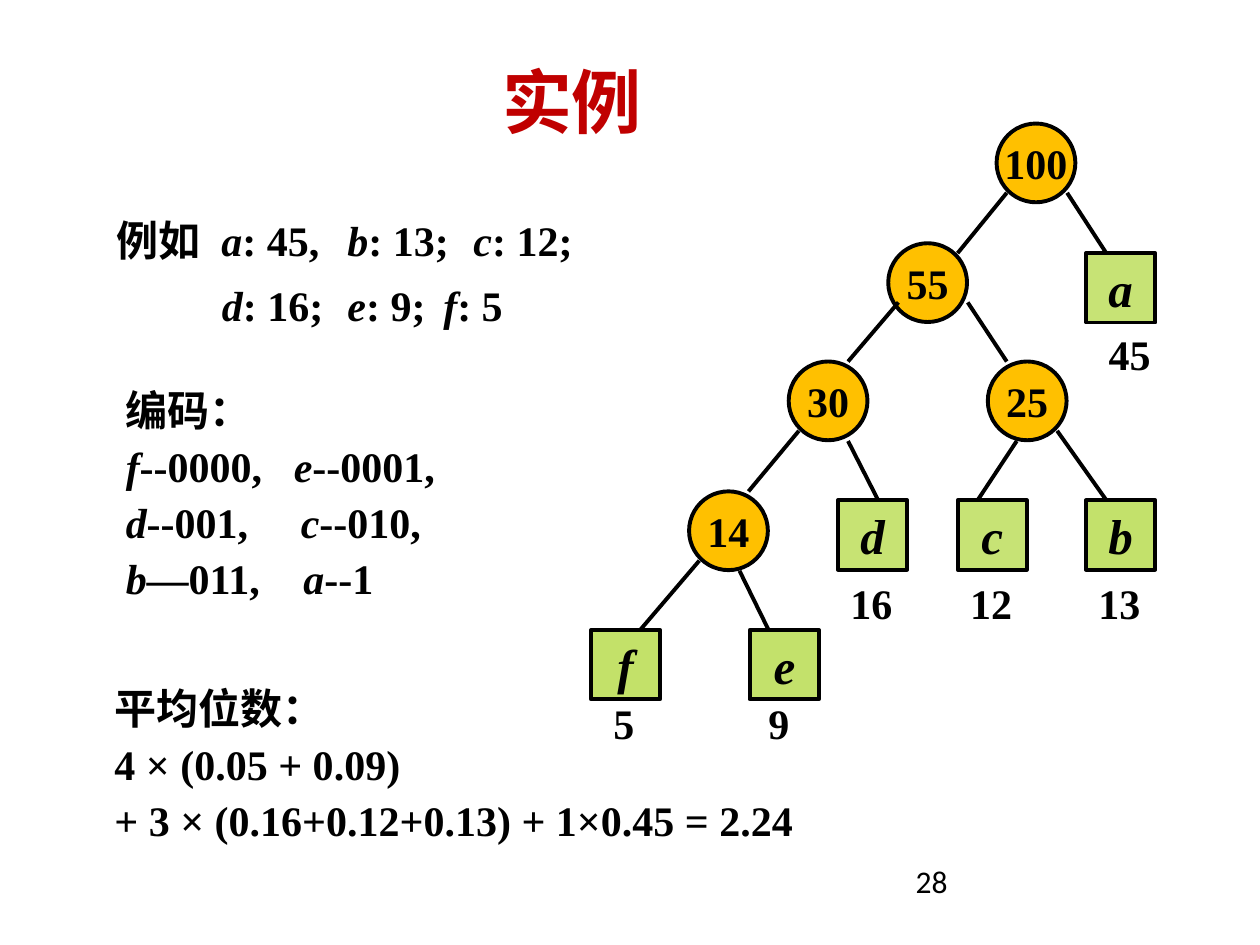
from lxml import etree
from pptx import Presentation
from pptx.dml.color import RGBColor
from pptx.enum.shapes import MSO_CONNECTOR, MSO_SHAPE
from pptx.enum.text import MSO_ANCHOR, PP_ALIGN
from pptx.oxml.ns import qn
from pptx.util import Pt

CENTER, LEFT, JUSTIFY = PP_ALIGN.CENTER, PP_ALIGN.LEFT, PP_ALIGN.JUSTIFY
MIDDLE = MSO_ANCHOR.MIDDLE
CIRCLE, SQUARE = MSO_SHAPE.OVAL, MSO_SHAPE.RECTANGLE
STRAIGHT = MSO_CONNECTOR.STRAIGHT

COLORS = {"ink": "000000", "title": "C00000", "node": "FFC000", "leaf": "99CC00"}
SERIF, SANS, HEADING = "Times New Roman", "Calibri", "Arial"
NODE_SIZE, LEAF_SIZE = 45, 39.6

NODES = [
    ("14", 393.8, 280.8),
    ("25", 564.5, 206.6),
    ("30", 450.7, 206.6),
    ("55", 507.6, 139),
    ("100", 569.5, 70.6),
]
LEAVES = [
    ("f", 337.7, 360, 59, "5", 5.7, 35.3),
    ("e", 428.4, 360, 58, "9", 3.6, 35.3),
    ("d", 478.8, 285.9, 55, "16", 0, 40.3),
    ("c", 547.2, 285.9, 54, "12", 0, 40.3),
    ("b", 620.6, 285.9, 58, "13", 0, 40.3),
    ("a", 620.6, 144.7, 54, "45", 5.8, 39.6),
]
EDGES = [
    (399.6, 320.4, 365.8, 360),
    (422.6, 326.2, 439.2, 360),
    (581, 252, 558.7, 285.8),
    (604.1, 246.2, 632.2, 285.8),
    (456.5, 246.2, 427.7, 280.8),
    (484.6, 252, 501.8, 285.8),
    (513.4, 172.8, 484.6, 206.6),
    (553, 172.8, 575.3, 206.6),
    (575.3, 110.2, 547.2, 144.7),
    (609.8, 110.2, 632.2, 144.7),
]


class SlideBuilder:
    def __init__(self, slide):
        self.slide = slide

    def style(self, font, name, size, color="ink", bold=True, italic=None):
        font.name, font.size, font.bold, font.italic = name, Pt(size), bold, italic
        font.color.rgb = RGBColor.from_string(COLORS[color])

    def title(self, text, left, top, width, height):
        title = self.slide.shapes.title
        title.left, title.top, title.width, title.height = map(
            Pt, (left, top, width, height))
        title.text_frame.text = text
        title.text_frame.vertical_anchor = MIDDLE
        paragraph = title.text_frame.paragraphs[0]
        paragraph.alignment = CENTER
        self.style(paragraph.font, SANS, 40, "title")

    def text(self, lines, left, top, width, height, spacing=None, align=LEFT,
             name=SERIF, size=24, bold=True, wrap=True):
        box = self.slide.shapes.add_textbox(*map(Pt, (left, top, width, height)))
        frame = box.text_frame
        frame.word_wrap = wrap
        for index, (content, indent, stops) in enumerate(lines):
            paragraph = frame.paragraphs[0] if index == 0 else frame.add_paragraph()
            paragraph.alignment = align
            if spacing:
                paragraph.line_spacing = spacing
            self.style(paragraph.font, name, size, bold=bold)
            self.indent(paragraph, indent, stops)
            for part, piece in enumerate(content.split("*")):
                if piece:
                    run = paragraph.add_run()
                    run.text = piece
                    if part % 2:
                        run.font.italic = True
        return frame

    def indent(self, paragraph, indent, stops):
        properties = paragraph._p.get_or_add_pPr()
        if indent:
            properties.set("marL", "0")
            properties.set("indent", str(Pt(indent)))
        if stops:
            tab_list = etree.Element(qn("a:tabLst"))
            for stop in stops:
                etree.SubElement(tab_list, qn("a:tab"), pos=str(Pt(stop)), algn="l")
            properties.find(qn("a:defRPr")).addprevious(tab_list)

    def shape(self, kind, text, left, top, side, color, size, italic=None, alpha=None):
        shape = self.slide.shapes.add_shape(kind, Pt(left), Pt(top), Pt(side), Pt(side))
        shape.shadow.inherit = False
        shape.fill.solid()
        shape.fill.fore_color.rgb = RGBColor.from_string(COLORS[color])
        if alpha:
            fill_color = shape._element.spPr.find(qn("a:solidFill"))[0]
            etree.SubElement(fill_color, qn("a:alpha"), val=str(alpha * 1000))
        self.outline(shape.line)
        frame = shape.text_frame
        frame.word_wrap = False
        frame.vertical_anchor = MIDDLE
        paragraph = frame.paragraphs[0]
        paragraph.text = text
        paragraph.alignment = CENTER
        self.style(paragraph.font, SERIF, size, italic=italic)

    def edge(self, *points):
        connector = self.slide.shapes.add_connector(STRAIGHT, *map(Pt, points))
        self.outline(connector.line)
        etree.SubElement(connector._element.spPr, qn("a:effectLst"))

    def outline(self, line):
        line.color.rgb = RGBColor.from_string(COLORS["ink"])
        line.width = Pt(2.25)


def main():
    presentation = Presentation()
    presentation.slide_width, presentation.slide_height = Pt(720), Pt(540)
    slide = presentation.slides.add_slide(presentation.slide_layouts[5])
    builder = SlideBuilder(slide)

    builder.title("实例", 72.7, 37.4, 508.3, 39.6)
    builder.text([("28", 0, [])], 516.2, 488.9, 167.8, 28.8,
                 name=SANS, size=18, bold=False)
    builder.text([
        ("例如\t*a*: 45,\t*b*: 13;\t*c*: 12;", 48.2, [112, 186, 268]),
        ("*d*: 16;\t*e*: 9;\t*f*: 5", 108.2, [190.2, 271]),
    ], 11.5, 110.2, 357.1, 82.8, 1.3, JUSTIFY)
    builder.text([
        ("平均位数：", 21.6, []),
        ("4 × (0.05 + 0.09)", 21.6, []),
        ("+ 3 × (0.16+0.12+0.13) + 1×0.45 = 2.24", 21.6, []),
    ], 36.7, 383, 550.1, 104.4, Pt(32), JUSTIFY)
    codes = builder.text([
        ("编码：", 0, []),
        ("*f*--0000,\t*e*--0001,", 0, [96]),
        ("*d*--001,\t*c*--010,", 0, [100]),
        ("*b*—011,\t*a*--1", 0, [101.5]),
    ], 64.8, 213.1, 283.7, 133.9, Pt(32))
    codes.paragraphs[0].font.name = HEADING

    for value, left, top in NODES:
        builder.shape(CIRCLE, value, left, top, NODE_SIZE, "node", 24)
    for letter, left, top, alpha, weight, shift, drop in LEAVES:
        builder.shape(SQUARE, letter, left, top, LEAF_SIZE, "leaf", 28, True, alpha)
        builder.text([(weight, 0, [])], left + shift, top + drop,
                     14.4 + 12 * len(weight), 36.7, wrap=False)
    for edge in EDGES:
        builder.edge(*edge)

    presentation.save("out.pptx")


if __name__ == "__main__":
    main()
